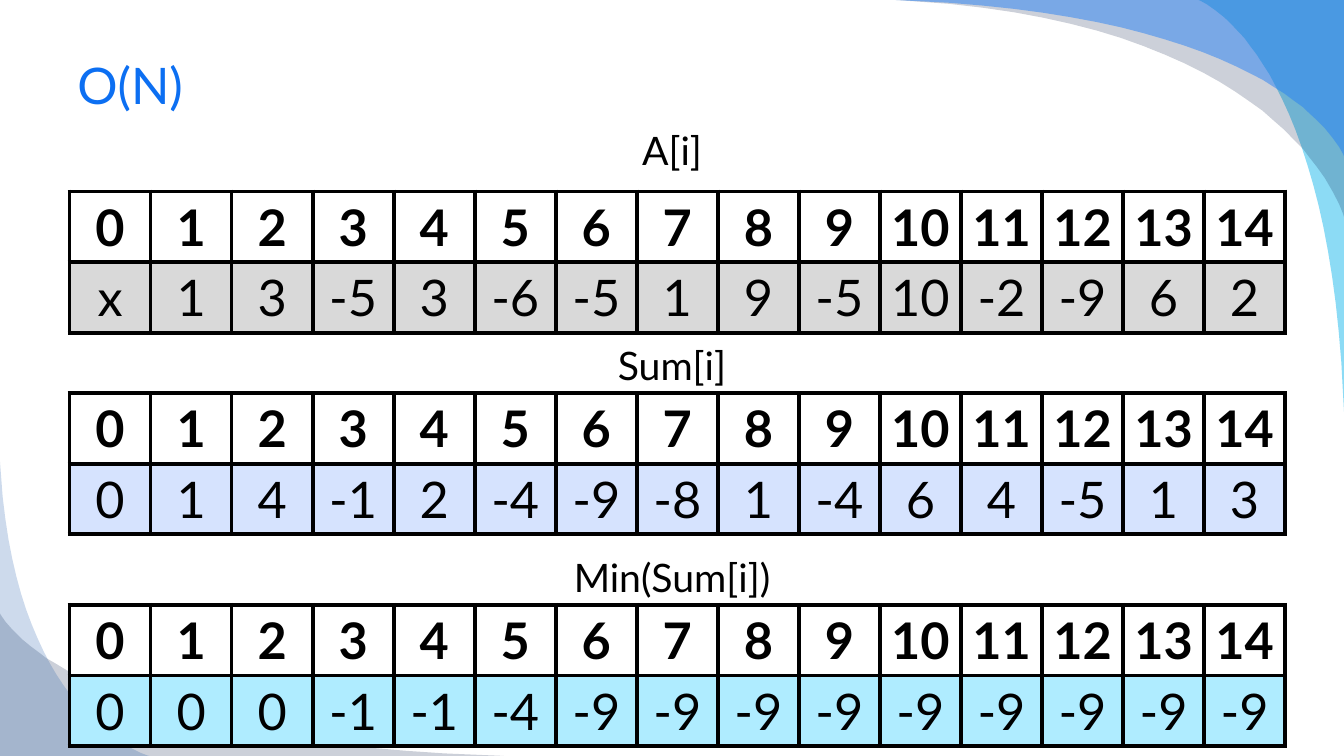
import itertools

import lxml.etree
import pptx
import pptx.dml.color
import pptx.enum.text
import pptx.oxml
import pptx.oxml.ns
import pptx.util

Pt = pptx.util.Pt
qn = pptx.oxml.ns.qn
PP_ALIGN = pptx.enum.text.PP_ALIGN

# Edge of a swoosh, in percent of its length and of its depth.
SWOOSH = [
    (0, 0), (11.9, 1.8), (19.4, 3.6), (26.4, 5.7), (32.9, 8.2), (39, 11),
    (44.8, 14.1), (50.2, 17.5), (55.2, 21.2), (59.9, 25.1), (64.4, 29.2),
    (68.5, 33.4), (72.3, 37.8), (75.7, 42.2), (78.8, 46.6), (81.8, 51),
    (84.2, 55.4), (86.7, 59.9), (88.7, 64.2), (90.8, 68.5), (92.3, 72.6),
    (93.9, 76.8), (95.7, 82), (97.5, 88.4), (98.9, 94), (99.8, 98.6),
    (100, 100), (100, 0),
]


def rgb(color):
    return pptx.dml.color.RGBColor.from_string(color)


class Deck:
    font = "Lato"
    ink = "000000"
    accent = "0C6FF2"
    header_fill = "FFFFFF"
    caption_size = 28
    cell_size = 36
    left, width = 48, 864

    def __init__(self):
        self.prs = pptx.Presentation()
        self.prs.slide_width, self.prs.slide_height = Pt(960), Pt(540)
        self.s = self.prs.slides.add_slide(self.prs.slide_layouts[1])

    def style(self, p, size, color, align, bold=False):
        p.alignment = align
        for r in p.runs:
            r.font.name = self.font
            r.font.size = Pt(size)
            r.font.bold = bold
            r.font.color.rgb = rgb(color)

    def place(self, sp, top, height):
        sp.left, sp.top = Pt(self.left), Pt(top)
        sp.width, sp.height = Pt(self.width), Pt(height)

    def swoosh(self, tip, end, color, alpha, upright=False):
        """Draw a curved corner on the master, running from tip to end."""
        points = []
        for along, across in SWOOSH:
            fx, fy = (across, along) if upright else (along, across)
            points.append((Pt(tip[0] + (end[0] - tip[0]) * fx / 100),
                           Pt(tip[1] + (end[1] - tip[1]) * fy / 100)))
        builder = self.s.shapes.build_freeform(*points[0], scale=1.0)
        builder.add_line_segments(points[1:], close=True)
        sp = builder.convert_to_shape()
        sp.shadow.inherit = False
        sp.line.fill.background()
        sp.fill.solid()
        sp.fill.fore_color.rgb = rgb(color)
        clr = next(sp.element.spPr.iter(qn("a:srgbClr")))
        lxml.etree.SubElement(clr, qn("a:alpha"), val=str(alpha * 1000))
        self.prs.slide_master.shapes.element.append(sp.element)

    def title(self, text, top, height):
        sp = self.s.shapes.title
        self.place(sp, top, height)
        tf = sp.text_frame
        tf.text = text
        tf.auto_size = pptx.enum.text.MSO_AUTO_SIZE.NONE
        tf.vertical_anchor = pptx.enum.text.MSO_ANCHOR.MIDDLE
        self.style(tf.paragraphs[0], 36, self.accent, PP_ALIGN.LEFT)

    def caption(self, text, top, sp=None):
        """Fill the given placeholder, or a new text box, with a caption."""
        sp = sp or self.s.shapes.add_textbox(0, 0, 0, 0)
        self.place(sp, top, 40.3)
        tf = sp.text_frame
        tf.text = text
        tf.word_wrap = True
        tf.auto_size = pptx.enum.text.MSO_AUTO_SIZE.NONE
        p = tf.paragraphs[0]
        p.space_before = Pt(5.6)
        self.style(p, self.caption_size, self.ink, PP_ALIGN.CENTER)
        pPr = p._p.get_or_add_pPr()
        pPr.set("marL", "0")
        pPr.set("indent", "0")
        lxml.etree.SubElement(pPr, qn("a:buNone"))

    def borders(self, cell):
        tcPr = cell._tc.get_or_add_tcPr()
        for side in ("lnL", "lnR", "lnT", "lnB"):
            ln = lxml.etree.SubElement(tcPr, qn("a:" + side), w=str(Pt(3)))
            fill = lxml.etree.SubElement(ln, qn("a:solidFill"))
            lxml.etree.SubElement(fill, qn("a:srgbClr"), val=self.ink)

    def array(self, values, top, color):
        """Draw a table with the indices above the values."""
        rows = [range(len(values)), values]
        col, row = 57.9, 50.4
        table = self.s.shapes.add_table(
            2, len(values), Pt(49.7), Pt(top),
            Pt(col * len(values)), Pt(row * 2)).table
        table.first_row = table.horz_banding = False
        for column in table.columns:
            column.width = Pt(col)
        for i, row_values in enumerate(rows):
            table.rows[i].height = Pt(row)
            for j, value in enumerate(row_values):
                cell = table.cell(i, j)
                self.borders(cell)
                cell.fill.solid()
                cell.fill.fore_color.rgb = rgb(color if i else self.header_fill)
                cell.vertical_anchor = pptx.enum.text.MSO_ANCHOR.MIDDLE
                cell.text_frame.text = str(value)
                self.style(cell.text_frame.paragraphs[0], self.cell_size,
                           self.ink, PP_ALIGN.CENTER, bold=i == 0)


def main():
    deck = Deck()
    deck.swoosh((960, 294), (856, 0), "00B1E9", 45, upright=True)
    deck.swoosh((640, 0), (960, 155), "021741", 20)
    deck.swoosh((640, 0), (960, 111.6), "247FF4", 49)
    deck.swoosh((360, 540), (0, 438), "021741", 20)
    deck.swoosh((0, 330), (106.6, 540), "084AA1", 20, upright=True)

    numbers = [1, 3, -5, 3, -6, -5, 1, 9, -5, 10, -2, -9, 6, 2]
    sums = list(itertools.accumulate(numbers, initial=0))
    minima = list(itertools.accumulate(sums, min))

    deck.title("O(N)", 24, 72.7)
    deck.caption("A[i]", 86.4, deck.s.placeholders[1])
    deck.array(["x"] + numbers, 136.8, "D9D9D9")
    deck.caption("Sum[i]", 240.5)
    deck.array(sums, 280.8, "D6E3FE")
    deck.caption("Min(Sum[i])", 391.7)
    deck.array(minima, 432, "AFECFF")
    deck.prs.save("out.pptx")


if __name__ == "__main__":
    main()
